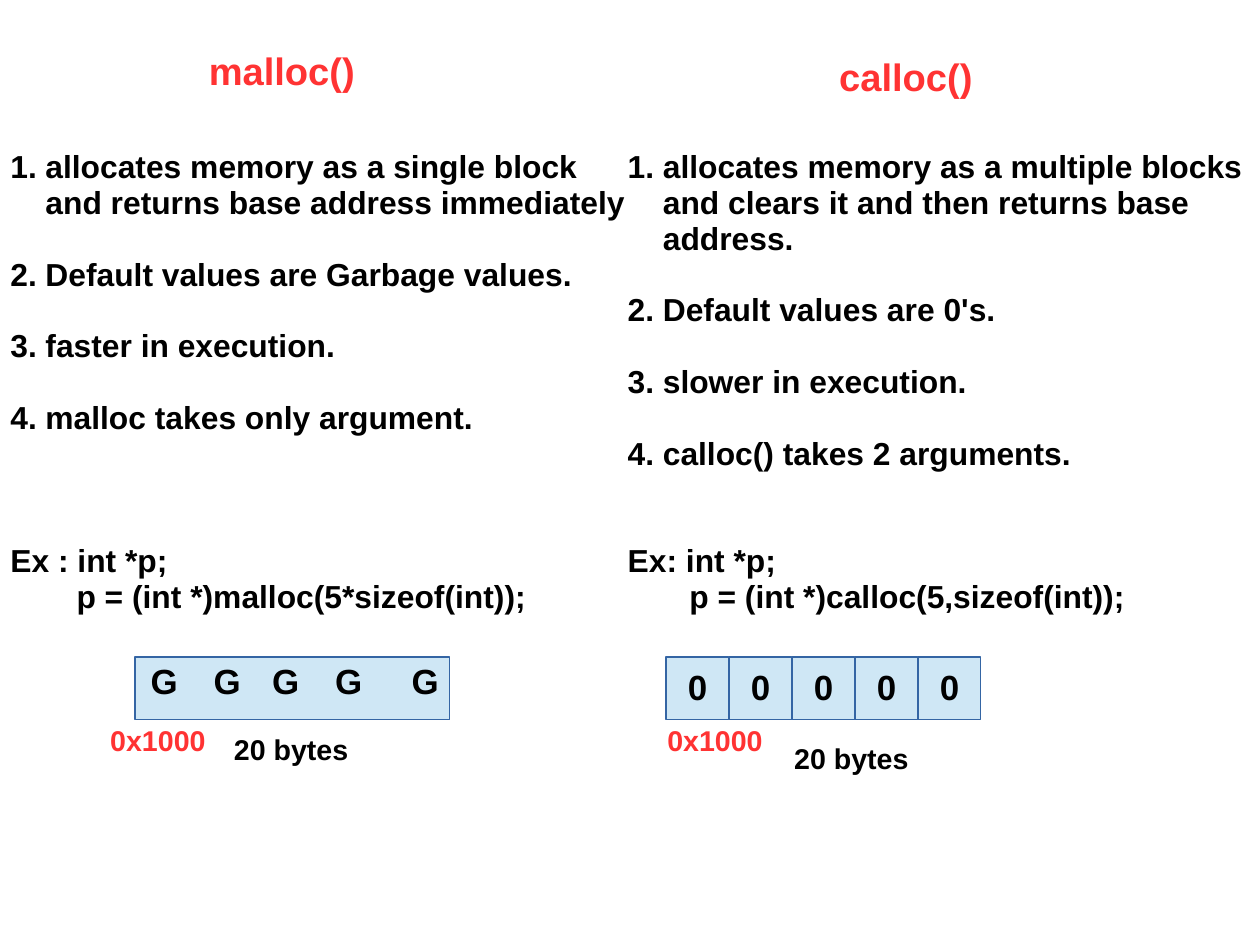
from lxml import etree
from pptx import Presentation
from pptx import util as u
from pptx.dml.color import RGBColor
from pptx.enum import shapes, text
from pptx.oxml import ns

COLORS = {"accent": "FF3333", "ink": "000000", "cell": "CFE7F5", "edge": "3465A4"}
FONT = "Arial"
LINE_SPACING = 0.94
ITEM_GAP = 22.6
NUMBER_INDENT = 0.78
CELL = 1.4
MEMORY_TOP = 14.6

MALLOC_POINTS = [
    ["allocates memory as a single block", "and returns base address immediately"],
    ["Default values are Garbage values."],
    ["faster in execution."],
    ["malloc takes only argument."],
]
CALLOC_POINTS = [
    ["allocates memory as a multiple blocks", "and clears it and then returns base", "address."],
    ["Default values are 0's."],
    ["slower in execution."],
    ["calloc() takes 2 arguments."],
]


def color(key):
    """Look up a palette colour."""
    return RGBColor.from_string(COLORS[key])


def place(holder, left, top, width, height):
    """Move and size a shape, with lengths in centimetres."""
    holder.left, holder.top = u.Cm(left), u.Cm(top)
    holder.width, holder.height = u.Cm(width), u.Cm(height)


def prepare(frame, side=0.25, anchor=text.MSO_ANCHOR.TOP):
    """Set margins, wrapping and anchor of a text frame."""
    frame.word_wrap = True
    frame.auto_size = text.MSO_AUTO_SIZE.NONE
    frame.margin_left, frame.margin_right = u.Cm(side), 0
    frame.margin_top = frame.margin_bottom = u.Cm(0.13)
    frame.vertical_anchor = anchor


def write(paragraph, lines, size, ink="ink", align=text.PP_ALIGN.LEFT, before=0):
    """Fill a paragraph with bold runs, one for each line."""
    paragraph.alignment = align
    paragraph.line_spacing = LINE_SPACING
    paragraph.space_before, paragraph.space_after = u.Pt(before), u.Pt(0)
    for number, line in enumerate(lines):
        if number:
            paragraph.add_line_break()
        run = paragraph.add_run()
        run.text = line
        run.font.name, run.font.size, run.font.bold = FONT, u.Pt(size), True
        run.font.color.rgb = color(ink)


def set_bullet(paragraph, indent, numbered=False):
    """Indent a paragraph, with a hanging number or no bullet."""
    properties = paragraph._p.get_or_add_pPr()
    properties.set("marL", str(u.Cm(indent)))
    properties.set("indent", str(-u.Cm(indent) if numbered else 0))
    bullet = etree.SubElement(properties, ns.qn("a:buAutoNum" if numbered else "a:buNone"))
    if numbered:
        bullet.set("type", "arabicPeriod")


def add_heading(holder, name, left, top):
    """Write a function name as a column heading."""
    place(holder, left, top, 4, 1.27)
    prepare(holder.text_frame)
    heading = holder.text_frame.paragraphs[0]
    write(heading, [name], 24, "accent")
    set_bullet(heading, 0)


def add_points(holder, left, points, declaration, call, call_indent, example_gap):
    """Write the numbered points and the code example of one column."""
    place(holder, left, 3.2, 14.25, 10.64)
    frame = holder.text_frame
    prepare(frame)
    for number, lines in enumerate(points):
        point = frame.add_paragraph() if number else frame.paragraphs[0]
        write(point, lines, 20, before=ITEM_GAP if number else 0)
        set_bullet(point, NUMBER_INDENT, numbered=True)
    for code, indent, gap in ((declaration, 0, example_gap), (call, call_indent, 0)):
        example = frame.add_paragraph()
        write(example, [code], 20, before=gap)
        set_bullet(example, indent)


def add_label(slide, caption, left, top, width, size, ink="ink"):
    """Add a bold one-line label."""
    label = slide.shapes.add_textbox(u.Cm(left), u.Cm(top), u.Cm(width), u.Cm(1.1))
    prepare(label.text_frame)
    write(label.text_frame.paragraphs[0], [caption], size, ink)


def add_block(slide, left, width, value=None):
    """Draw a memory block, with its value if it has one."""
    block = slide.shapes.add_shape(
        shapes.MSO_SHAPE.RECTANGLE, u.Cm(left), u.Cm(MEMORY_TOP), u.Cm(width), u.Cm(CELL))
    block.shadow.inherit = False
    block.fill.solid()
    block.fill.fore_color.rgb = color("cell")
    block.line.color.rgb = color("edge")
    block.line.width = u.Pt(0.74)
    if value is not None:
        prepare(block.text_frame, 0, text.MSO_ANCHOR.MIDDLE)
        write(block.text_frame.paragraphs[0], [value], 22, align=text.PP_ALIGN.CENTER)


def main():
    """Build the comparison slide and save it."""
    deck = Presentation()
    deck.slide_width, deck.slide_height = u.Cm(28), u.Cm(21)
    slide = deck.slides.add_slide(deck.slide_layouts[4])
    holders = {holder.placeholder_format.idx: holder for holder in slide.placeholders}

    add_heading(holders[0], "malloc()", 4.39, 1)
    add_heading(holders[3], "calloc()", 18.4, 1.13)
    add_points(holders[2], -0.02, MALLOC_POINTS, "Ex : int *p;",
               "p = (int *)malloc(5*sizeof(int));", 1.47, 3 * ITEM_GAP)
    add_points(holders[4], 13.7, CALLOC_POINTS, "Ex: int *p;",
               "p = (int *)calloc(5,sizeof(int));", 1.37, 2 * ITEM_GAP)
    for idx, holder in holders.items():
        if idx not in (0, 2, 3, 4):
            holder.element.getparent().remove(holder.element)

    add_block(slide, 3, 5 * CELL)
    for garbage_left in (3.1, 4.5, 5.8, 7.2, 8.9):
        add_label(slide, "G", garbage_left, MEMORY_TOP, 1.1, 22)
    for index in range(5):
        add_block(slide, 14.8 + index * CELL, CELL, "0")

    for address_left, size_left, size_top in ((2.2, 4.95, 16.2), (14.58, 17.4, 16.4)):
        add_label(slide, "0x1000", address_left, 16, 2.7, 18, "accent")
        add_label(slide, "20 bytes", size_left, size_top, 3.1, 18)

    deck.save("out.pptx")


main()
